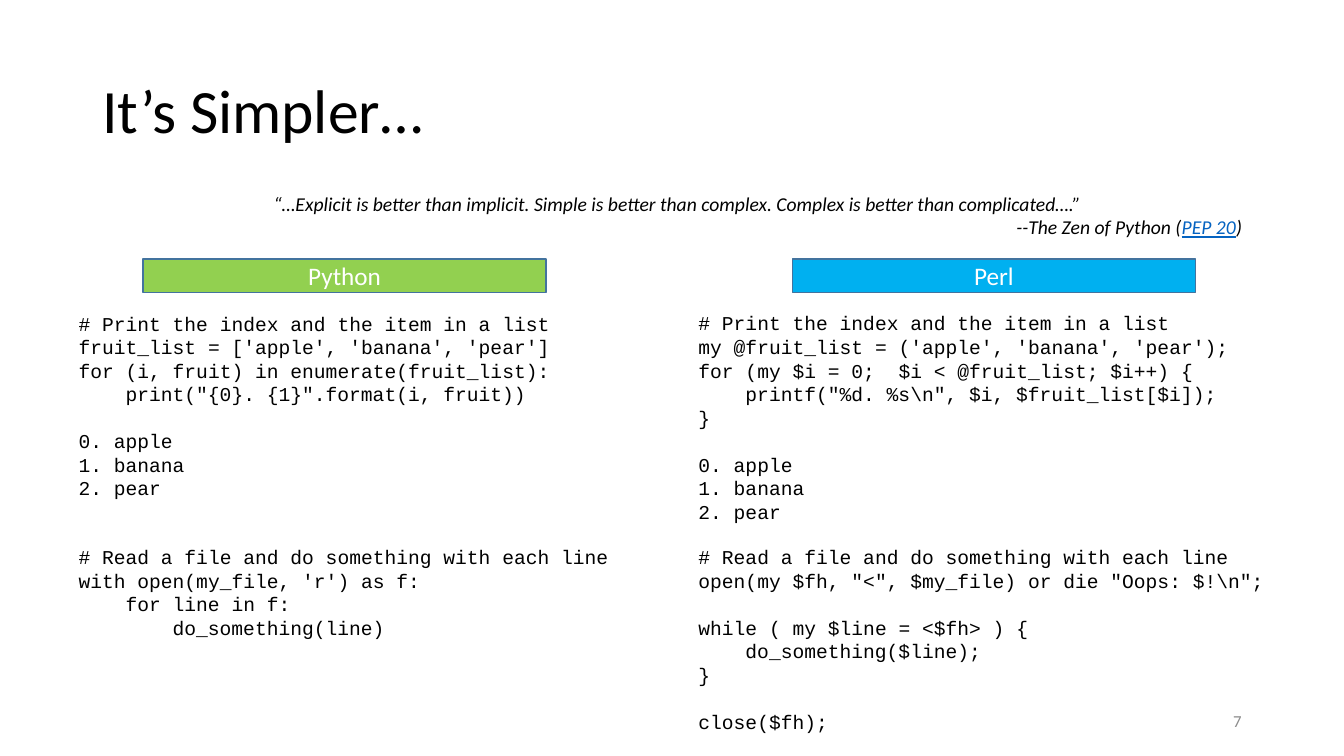
from dataclasses import dataclass

from pptx import Presentation
from pptx.dml.color import RGBColor
from pptx.enum.shapes import MSO_SHAPE
from pptx.enum.text import MSO_ANCHOR, PP_ALIGN
from pptx.util import Pt

RECTANGLE = MSO_SHAPE.RECTANGLE
TOP, MIDDLE = MSO_ANCHOR.TOP, MSO_ANCHOR.MIDDLE
LEFT, CENTER, RIGHT = PP_ALIGN.LEFT, PP_ALIGN.CENTER, PP_ALIGN.RIGHT

BODY_FONT, CODE_FONT = "Calibri", "Courier New"
BLACK, WHITE, GREY, LINK_BLUE = "000000", "FFFFFF", "8C8C8C", "0563C1"
CODE_SIZE = 14
CODE_LINE = 16.8
CODE_INDENT = 33.6
SETUP_TOP, FILE_TOP = 218.9, 385.9
HEADING_TOP, HEADING_WIDTH, HEADING_HEIGHT = 185, 288, 23.8


@dataclass(frozen=True)
class Span:
    text: str
    size: float
    color: str = BLACK
    font: str = BODY_FONT
    italic: bool = False
    underline: bool = False


@dataclass(frozen=True)
class Line:
    spans: tuple[Span, ...]
    align: PP_ALIGN = LEFT
    indent: float = 0
    space_before: float = 0
    spacing: float = 1.0


@dataclass(frozen=True)
class TextBlock:
    left: float
    top: float
    width: float
    height: float
    lines: tuple[Line, ...]
    anchor: MSO_ANCHOR = TOP
    wrap: bool = True


@dataclass(frozen=True)
class Heading:
    text: str
    left: float
    fill: str


def rgb(value: str) -> RGBColor:
    return RGBColor.from_string(value)


def code(text: str, depth: int = 0, blank_before: int = 0) -> Line:
    span = Span(text, CODE_SIZE, font=CODE_FONT)
    return Line((span,), indent=depth * CODE_INDENT, space_before=blank_before * CODE_LINE)


def quote(text: str, color: str = BLACK, underline: bool = False) -> Span:
    return Span(text, 14, color, italic=True, underline=underline)


def write_lines(frame, lines: tuple[Line, ...]) -> None:
    for index, line in enumerate(lines):
        para = frame.add_paragraph() if index else frame.paragraphs[0]
        para.alignment = line.align
        para.line_spacing = line.spacing
        para.space_before = Pt(line.space_before)
        if line.indent:
            para._p.get_or_add_pPr().set("marL", str(Pt(line.indent)))
        for span in line.spans:
            run = para.add_run()
            run.text = span.text
            run.font.name = span.font
            run.font.size = Pt(span.size)
            run.font.italic = span.italic
            run.font.underline = span.underline
            run.font.color.rgb = rgb(span.color)


def draw_text(page, block: TextBlock) -> None:
    box = page.shapes.add_textbox(Pt(block.left), Pt(block.top), Pt(block.width), Pt(block.height))
    box.text_frame.word_wrap = block.wrap
    box.text_frame.vertical_anchor = block.anchor
    write_lines(box.text_frame, block.lines)


def draw_heading(page, heading: Heading) -> None:
    box = page.shapes.add_shape(
        RECTANGLE, Pt(heading.left), Pt(HEADING_TOP), Pt(HEADING_WIDTH), Pt(HEADING_HEIGHT)
    )
    box.shadow.inherit = False
    box.fill.solid()
    box.fill.fore_color.rgb = rgb(heading.fill)
    box.line.color.rgb = rgb("43739E")
    box.line.width = Pt(1)
    box.text_frame.vertical_anchor = MIDDLE
    write_lines(box.text_frame, (Line((Span(heading.text, 18, WHITE),), CENTER),))


TITLE = TextBlock(66, 28.8, 828, 104.4, (Line((Span("It’s Simpler…", 44),), spacing=0.9),), MIDDLE)
PAGE_NUMBER = TextBlock(678, 500.5, 216, 28.8, (Line((Span("7", 12, GREY),), RIGHT),), MIDDLE)
ZEN_QUOTE = TextBlock(74.2, 133.2, 820, 41, (
    Line((quote(
        "“…Explicit is better than implicit. Simple is better than complex. "
        "Complex is better than complicated….”"
    ),), CENTER),
    Line((
        quote("--The Zen of Python ("),
        quote("PEP 20", LINK_BLUE, underline=True),
        quote(")"),
    ), RIGHT),
))

LIST_COMMENT = code("# Print the index and the item in a list")
FILE_COMMENT = code("# Read a file and do something with each line")
LIST_OUTPUT = (code("0. apple", blank_before=1), code("1. banana"), code("2. pear"))

PYTHON_LIST = TextBlock(49, SETUP_TOP, 431, 143, (
    LIST_COMMENT,
    code("fruit_list = ['apple', 'banana', 'pear']"),
    code("for (i, fruit) in enumerate(fruit_list):"),
    code('print("{0}. {1}".format(i, fruit))', depth=1),
    *LIST_OUTPUT,
))
PERL_LIST = TextBlock(491.8, SETUP_TOP, 436, 160, (
    LIST_COMMENT,
    code("my @fruit_list = ('apple', 'banana', 'pear');"),
    code("for (my $i = 0;  $i < @fruit_list; $i++) {"),
    code(r'printf("%d. %s\n", $i, $fruit_list[$i]);', depth=1),
    code("}"),
    *LIST_OUTPUT,
))
PYTHON_FILE = TextBlock(49, FILE_TOP, 395, 75, (
    FILE_COMMENT,
    code("with open(my_file, 'r') as f:"),
    code("for line in f:", depth=1),
    code("do_something(line)", depth=2),
), wrap=False)
PERL_FILE = TextBlock(491.8, FILE_TOP, 480, 143, (
    FILE_COMMENT,
    code(r'open(my $fh, "<", $my_file) or die "Oops: $!\n";'),
    code("while ( my $line = <$fh> ) {", blank_before=1),
    code("do_something($line);", depth=1),
    code("}"),
    code("close($fh);", blank_before=1),
))

TEXT_BLOCKS = (TITLE, PAGE_NUMBER, ZEN_QUOTE, PYTHON_LIST, PERL_LIST, PYTHON_FILE, PERL_FILE)
HEADINGS = (Heading("Python", 102.2, "92D050"), Heading("Perl", 565.9, "00B0F0"))


def main() -> None:
    deck = Presentation()
    deck.slide_width, deck.slide_height = Pt(960), Pt(540)
    page = deck.slides.add_slide(deck.slide_layouts[6])
    for block in TEXT_BLOCKS:
        draw_text(page, block)
    for heading in HEADINGS:
        draw_heading(page, heading)
    deck.save("out.pptx")


if __name__ == "__main__":
    main()
